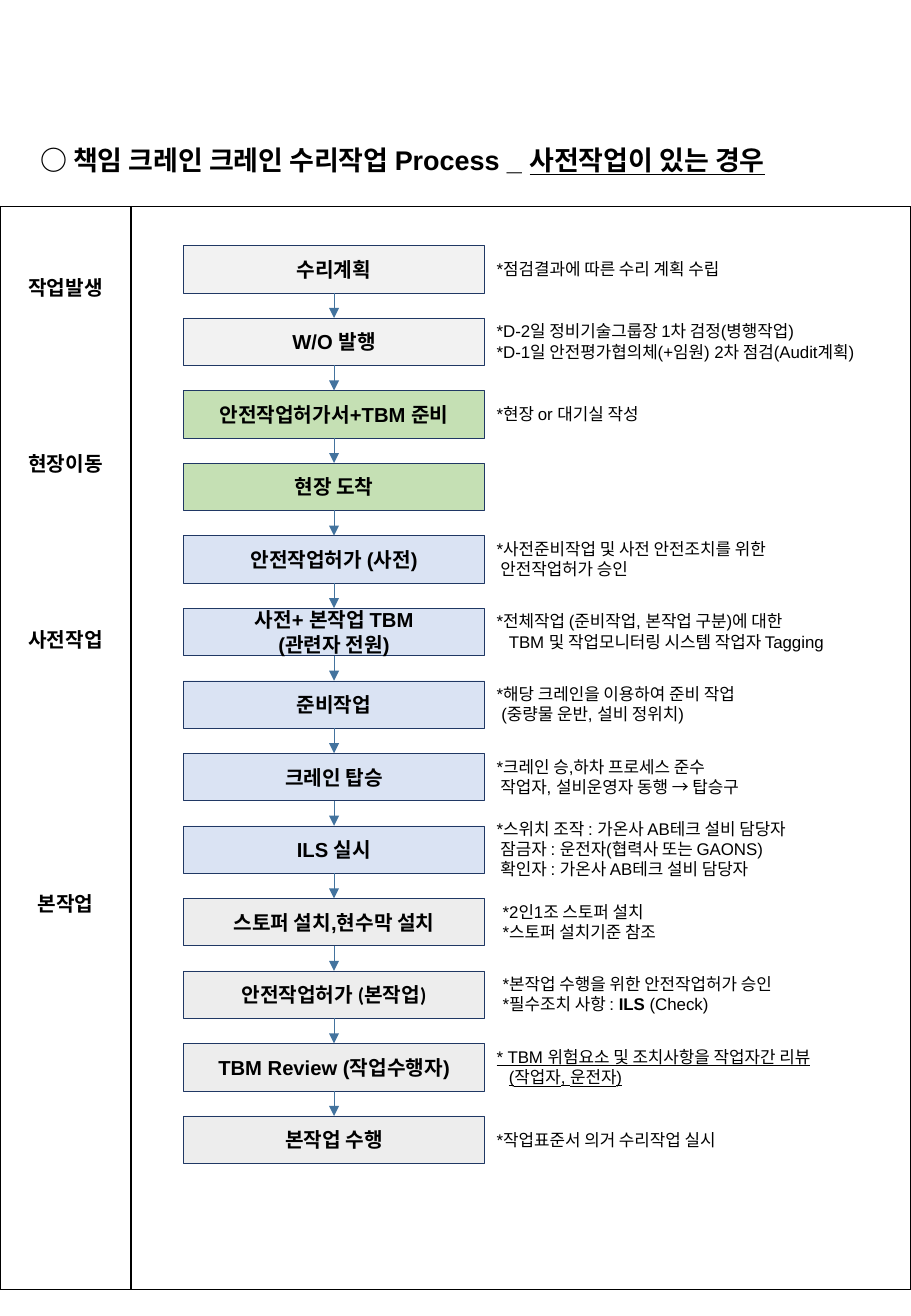
from lxml.etree import SubElement
from pptx import Presentation
from pptx.dml.color import RGBColor
from pptx.enum.shapes import MSO_CONNECTOR, MSO_SHAPE
from pptx.enum.text import MSO_ANCHOR, MSO_AUTO_SIZE, PP_ALIGN
from pptx.oxml.ns import qn
from pptx.util import Inches, Pt

GREY, GREEN, BLUE, SILVER = "F2F2F2", "C5E0B4", "DAE3F3", "EDEDED"
STEP_W, STEP_H, PITCH = 2.48, 0.39, 0.597
LINE_H = 0.17
LABEL_PITCH = 26.07

STAGES = [("작업발생", 0), ("현장이동", 3), ("사전작업", 3), ("본작업", 5)]

STEPS = [
    ("수리계획", GREY, "*점검결과에 따른 수리 계획 수립", {}),
    ("W/O 발행", GREY,
     "*D-2일 정비기술그룹장 1차 검정(병행작업)\n*D-1일 안전평가협의체(+임원) 2차 점검(Audit계획)", {}),
    ("안전작업허가서+TBM 준비", GREEN, "*현장 or 대기실 작성", {}),
    ("현장 도착", GREEN, "", {}),
    ("안전작업허가 (사전)", BLUE,
     "*사전준비작업 및 사전 안전조치를 위한\n 안전작업허가 승인", {}),
    ("사전+ 본작업 TBM\n(관련자 전원)", BLUE,
     "*전체작업 (준비작업, 본작업 구분)에 대한\vTBM 및 작업모니터링 시스템 작업자 Tagging", {}),
    ("준비작업", BLUE,
     "*해당 크레인을 이용하여 준비 작업\n (중량물 운반, 설비 정위치)", {}),
    ("크레인 탑승", BLUE,
     "*크레인 승,하차 프로세스 준수\n 작업자, 설비운영자 동행 → 탑승구", {}),
    ("ILS 실시", BLUE,
     "*스위치 조작 : 가온사 AB테크 설비 담당자\n 잠금자 : 운전자(협력사 또는 GAONS)\n"
     " 확인자 : 가온사 AB테크 설비 담당자", {}),
    ("스토퍼 설치,현수막 설치", SILVER,
     "*2인1조 스토퍼 설치\n*스토퍼 설치기준 참조", {"dx": 0.05}),
    ("안전작업허가 (본작업)", SILVER,
     "*본작업 수행을 위한 안전작업허가 승인\n*필수조치 사항 : |ILS| (Check)",
     {"dx": 0.05, "font": "Calibri"}),
    ("TBM Review (작업수행자)", SILVER,
     "* TBM 위험요소 및 조치사항을 작업자간 리뷰\v(작업자, 운전자)", {"underline": True}),
    ("본작업 수행", SILVER, "*작업표준서 의거 수리작업 실시", {}),
]


def color(value):
    """Turn a hex string into a colour."""
    return RGBColor.from_string(value)


def write(p, text, **fmt):
    """Add a run to a paragraph with the given font values."""
    r = p.add_run()
    r.text = text
    r.font.color.rgb = color("000000")
    for name, value in ({"name": "Arial", "size": Pt(12)} | fmt).items():
        setattr(r.font, name, value)


def paragraphs(tf, text):
    """Yield one paragraph of the frame for each line of text."""
    for i, line in enumerate(text.split("\n")):
        yield (tf.add_paragraph() if i else tf.paragraphs[0]), line


def add_title(s, x, y, w, h):
    """Fill the title placeholder."""
    title = s.shapes.title
    title.left, title.top, title.width, title.height = map(Inches, (x, y, w, h))
    tf = title.text_frame
    tf.auto_size, tf.vertical_anchor = MSO_AUTO_SIZE.NONE, MSO_ANCHOR.MIDDLE
    p = tf.paragraphs[0]
    p.alignment, p.line_spacing = PP_ALIGN.LEFT, 1.0
    write(p, "○ 책임 크레인 크레인 수리작업 Process _ ", size=Pt(16), bold=True)
    write(p, "사전작업이 있는 경우", size=Pt(16), bold=True, underline=True)


def add_border(cell):
    """Draw a thin black line on each side of a cell."""
    tc_pr = cell._tc.get_or_add_tcPr()
    for i, side in enumerate(("lnL", "lnR", "lnT", "lnB")):
        ln = SubElement(tc_pr, qn(f"a:{side}"), w="12700")
        fill = SubElement(ln, qn("a:solidFill"))
        SubElement(fill, qn("a:srgbClr"), val="000000")
        tc_pr.remove(ln)
        tc_pr.insert(i, ln)


def add_stage_table(s, x, y, w, h, label_w):
    """Place the frame table with the stage names in its first column."""
    table = s.shapes.add_table(1, 2, *map(Inches, (x, y, w, h))).table
    table.first_row = table.horz_banding = False
    table.columns[0].width, table.columns[1].width = Inches(label_w), Inches(w - label_w)
    for cell in table.rows[0].cells:
        cell.fill.background()
        add_border(cell)
    cell = table.cell(0, 0)
    cell.margin_top = Inches(0.42)
    tf = cell.text_frame
    for i, (name, skipped) in enumerate(STAGES):
        p = tf.add_paragraph() if i else tf.paragraphs[0]
        p.alignment, p.line_spacing = PP_ALIGN.CENTER, 1.5
        p.space_before = Pt(skipped * LABEL_PITCH)
        write(p, name, bold=True)


def add_step(s, x, y, text, fill, font):
    """Draw one step box and return it."""
    box = s.shapes.add_shape(MSO_SHAPE.RECTANGLE, *map(Inches, (x, y, STEP_W, STEP_H)))
    box.shadow.inherit = False
    box.fill.solid()
    box.fill.fore_color.rgb = color(fill)
    box.line.color.rgb = color("203864")
    box.line.width = Pt(0.25)
    tf = box.text_frame
    tf.vertical_anchor = MSO_ANCHOR.MIDDLE
    for p, line in paragraphs(tf, text):
        p.alignment = PP_ALIGN.CENTER
        write(p, line, bold=True, name=font)
    return box


def add_note(s, x, y, w, text, underline):
    """Place a note centred on the step that starts at y."""
    h = LINE_H * len(text.replace("\v", "\n").split("\n")) + 0.1
    top = y + (STEP_H - h) / 2
    tf = s.shapes.add_textbox(*map(Inches, (x, top, w, h))).text_frame
    tf.word_wrap = True
    for p, line in paragraphs(tf, text):
        p_pr = p._p.get_or_add_pPr()
        p_pr.set("marL", str(Inches(0.1)))
        p_pr.set("indent", str(-Inches(0.1)))
        for i, row in enumerate(line.split("\v")):
            if i:
                p.add_line_break()
            for j, part in enumerate(row.split("|")):
                write(p, part, size=Pt(10), bold=j % 2 == 1, underline=underline)


def add_arrow(s, upper, lower):
    """Join the bottom of one step to the top of the next."""
    arrow = s.shapes.add_connector(MSO_CONNECTOR.STRAIGHT, 0, 0, 0, 0)
    arrow.begin_connect(upper, 2)
    arrow.end_connect(lower, 0)
    arrow.line.color.rgb = color("43739E")
    arrow.line.width = Pt(0.25)
    SubElement(arrow.line._get_or_add_ln(), qn("a:tailEnd"), type="triangle")
    SubElement(arrow._element.spPr, qn("a:effectLst"))


def add_flow(s, x, y, w):
    """Stack the steps with their notes and arrows."""
    previous = None
    note_x = x + STEP_W
    for i, (text, fill, note, extra) in enumerate(STEPS):
        top = y + i * PITCH
        box = add_step(s, x, top, text, fill, extra.get("font", "Arial"))
        if note:
            dx = extra.get("dx", 0)
            add_note(s, note_x + dx, top, w - STEP_W - dx, note, extra.get("underline", False))
        if previous:
            add_arrow(s, previous, box)
        previous = box


def main():
    """Build the slide and save it."""
    prs = Presentation()
    prs.slide_width, prs.slide_height = Inches(7.5), Inches(10.83)
    s = prs.slides.add_slide(prs.slide_layouts[5])
    add_title(s, 0.23, 1.13, 7.15, 0.37)
    add_stage_table(s, 0, 1.7, 7.5, 8.91, 1.08)
    add_flow(s, 1.51, 2.02, 5.99)
    prs.save("out.pptx")


if __name__ == "__main__":
    main()
